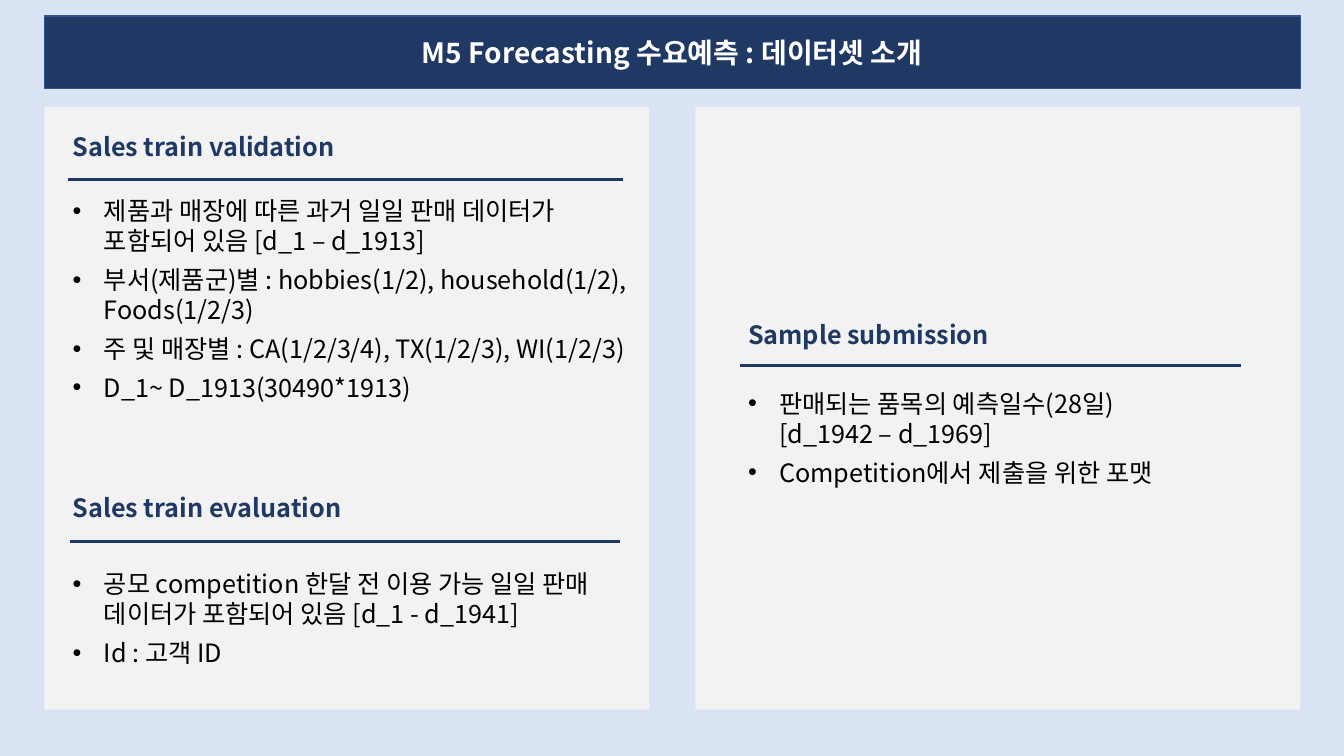
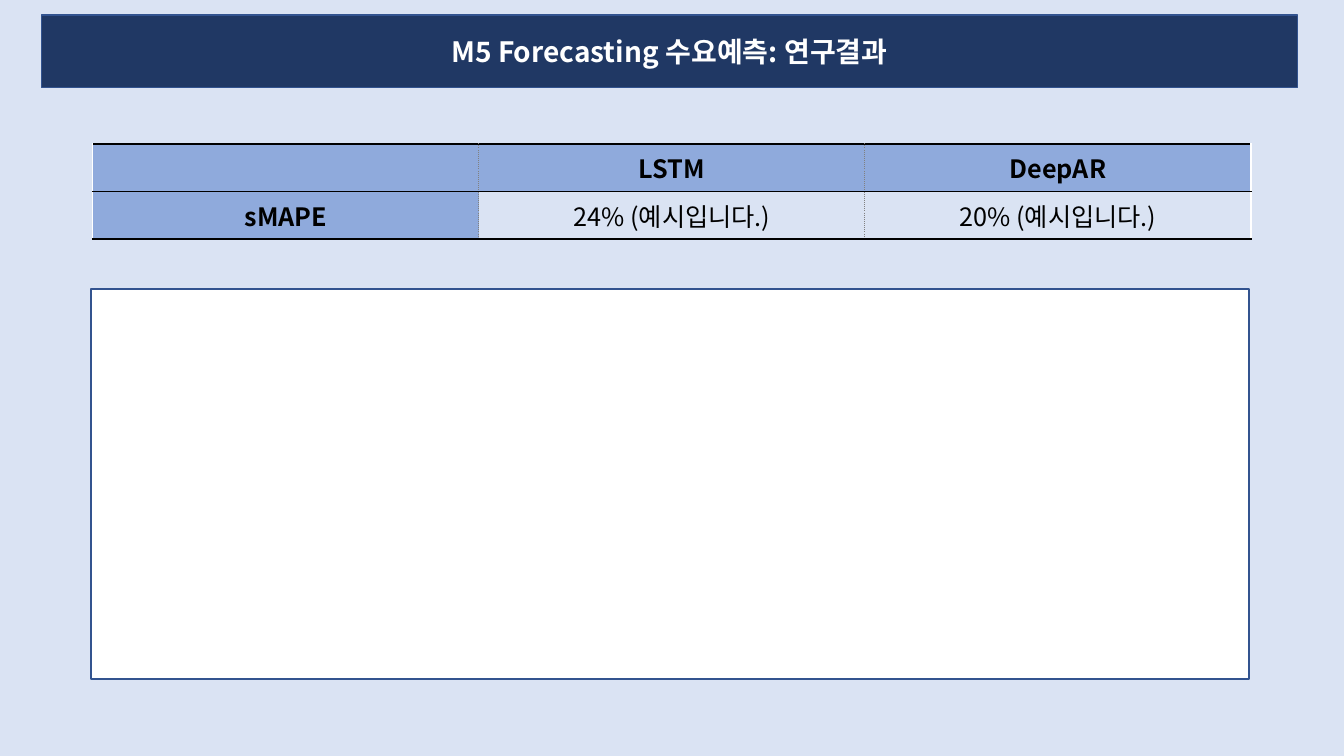
from dataclasses import dataclass

import pptx
import pptx.dml.color
import pptx.enum.shapes
import pptx.enum.text
import pptx.oxml
import pptx.oxml.ns
import pptx.util

SLIDE_WIDTH = pptx.util.Inches(13.33)
SLIDE_HEIGHT = pptx.util.Inches(7.5)
FONT = "Noto Sans CJK KR"
COLORS = {
    "background": "DAE3F3",
    "navy": "203864",
    "outline": "32538F",
    "panel": "F2F2F2",
    "header": "8FAADC",
    "divider": "808080",
    "black": "000000",
    "white": "FFFFFF",
}
INSET = pptx.util.Inches(0.05)
MIDDLE = pptx.enum.text.MSO_ANCHOR.MIDDLE
CENTER = pptx.enum.text.PP_ALIGN.CENTER
TEXT_FRAME_FORMAT = {
    "word_wrap": True,
    "auto_size": pptx.enum.text.MSO_AUTO_SIZE.NONE,
    "margin_left": INSET,
    "margin_top": INSET,
    "margin_right": INSET,
    "margin_bottom": INSET,
}
CELL_FORMAT = {
    "vertical_anchor": MIDDLE,
    "margin_left": 0,
    "margin_top": 0,
    "margin_right": 0,
    "margin_bottom": 0,
}
HEADING_FORMAT = {"size": pptx.util.Pt(18), "bold": True}
BODY_FORMAT = {"size": pptx.util.Pt(18), "bold": False}
TITLE_FORMAT = {"size": pptx.util.Pt(20), "bold": True}


@dataclass(frozen=True)
class Area:
    """Percentages of the slide's width and height."""

    left: float
    top: float
    width: float
    height: float

    def box(self) -> tuple[int, int, int, int]:
        return (across(self.left), down(self.top), across(self.width), down(self.height))


@dataclass(frozen=True)
class Section:
    heading: str
    text_left: float
    text_width: float
    heading_top: float
    rule_left: float
    rule_right: float
    rule_top: float
    bullets_top: float
    bullets_height: float
    bullets: tuple[tuple[str, ...], ...]


PANELS = (Area(3.3, 14.13, 45, 79.73), Area(51.75, 14.13, 45, 79.73))
SECTIONS = (
    Section(
        "Sales train validation", 5.03, 42.08, 16.67, 5.03, 46.35, 23.73, 25.2, 33,
        (
            ("제품과 매장에 따른 과거 일일 판매 데이터가 포함되어 있음 [d_1 – d_1913]",),
            ("부서(제품군)별 : hobbies(1/2), household(1/2), Foods(1/2/3)",),
            ("주 및 매장별 : CA(1/2/3/4), TX(1/2/3), WI(1/2/3)",),
            ("D_1~ D_1913(30490*1913)",),
        ),
    ),
    Section(
        "Sales train evaluation", 5.03, 42.08, 64.4, 5.18, 46.13, 71.6, 74.53, 16,
        (
            ("공모 competition 한달 전 이용 가능 일일 판매 데이터가 포함되어 있음 [d_1 - d_1941]",),
            ("Id : 고객 ID",),
        ),
    ),
    Section(
        "Sample submission", 55.28, 39.68, 41.6, 55.05, 92.33, 48.4, 50.67, 16,
        (
            ("판매되는 품목의 예측일수(28일) ", "[d_1942 – d_1969]"),
            ("Competition에서 제출을 위한 포맷",),
        ),
    ),
)
RESULTS = (
    ("", "LSTM", "DeepAR"),
    ("sMAPE", "24% (예시입니다.)", "20% (예시입니다.)"),
)
RESULTS_AREA = Area(6.9, 19.07, 86.18, 12.53)
CHART_FRAME = Area(6.75, 38.27, 86.18, 51.6)


def across(percent: float) -> int:
    return round(SLIDE_WIDTH * percent / 100)


def down(percent: float) -> int:
    return round(SLIDE_HEIGHT * percent / 100)


def rgb(color: str) -> pptx.dml.color.RGBColor:
    return pptx.dml.color.RGBColor.from_string(COLORS[color])


def apply_format(target, values: dict) -> None:
    for attribute, value in values.items():
        setattr(target, attribute, value)


def paint(target, color: str) -> None:
    target.fill.solid()
    target.fill.fore_color.rgb = rgb(color)


def write(paragraph, lines: tuple[str, ...], font_format: dict, color: str) -> None:
    for index, line in enumerate(lines):
        if index:
            paragraph.add_line_break()
        run = paragraph.add_run()
        run.text = line
        apply_format(run.font, {"name": FONT, **font_format})
        run.font.color.rgb = rgb(color)
        east_asian = pptx.oxml.ns.qn("a:ea")
        run.font._element.makeelement(east_asian)
        latin = run.font._element.find(pptx.oxml.ns.qn("a:latin"))
        latin.addnext(latin.makeelement(east_asian, {"typeface": FONT}))


def add_bullet(paragraph) -> None:
    properties = paragraph._p.get_or_add_pPr()
    indent = pptx.util.Inches(0.31)
    properties.set("marL", str(indent))
    properties.set("indent", str(-indent))
    for tag, attribute, value in (("a:buFont", "typeface", "Arial"), ("a:buChar", "char", "•")):
        properties.append(properties.makeelement(pptx.oxml.ns.qn(tag), {attribute: value}))


def add_text_frame(slide, area: Area):
    frame = slide.shapes.add_textbox(*area.box()).text_frame
    apply_format(frame, TEXT_FRAME_FORMAT)
    return frame


def add_rectangle(slide, area: Area, fill: str, line_width: float = 0) -> None:
    rectangle = slide.shapes.add_shape(
        pptx.enum.shapes.MSO_SHAPE.RECTANGLE, *area.box()
    )
    rectangle.shadow.inherit = False
    paint(rectangle, fill)
    if line_width:
        rectangle.line.color.rgb = rgb("outline")
        rectangle.line.width = pptx.util.Pt(line_width)
    else:
        rectangle.line.fill.background()


def add_titled_slide(deck, title: str, left: float, top: float):
    slide = deck.slides.add_slide(deck.slide_layouts[5])
    band = slide.shapes.title
    box = Area(left, top, 93.45, 9.6).box()
    apply_format(band, dict(zip(("left", "top", "width", "height"), box)))
    paint(band, "navy")
    band.line.color.rgb = rgb("outline")
    band.line.width = pptx.util.Pt(1)
    apply_format(band.text_frame, {**TEXT_FRAME_FORMAT, "vertical_anchor": MIDDLE})
    heading = band.text_frame.paragraphs[0]
    heading.alignment = CENTER
    write(heading, (title,), TITLE_FORMAT, "white")
    return slide


def add_section(slide, section: Section) -> None:
    heading = add_text_frame(
        slide, Area(section.text_left, section.heading_top, section.text_width, 6)
    )
    write(heading.paragraphs[0], (section.heading,), HEADING_FORMAT, "navy")

    rule_y = down(section.rule_top)
    rule = slide.shapes.add_connector(
        pptx.enum.shapes.MSO_CONNECTOR.STRAIGHT,
        across(section.rule_left), rule_y, across(section.rule_right), rule_y,
    )
    rule.line.color.rgb = rgb("navy")
    rule.line.width = pptx.util.Pt(2)
    properties = rule._element.spPr
    properties.append(properties.makeelement(pptx.oxml.ns.qn("a:effectLst")))

    body = add_text_frame(
        slide,
        Area(section.text_left, section.bullets_top, section.text_width, section.bullets_height),
    )
    for index, lines in enumerate(section.bullets):
        paragraph = body.add_paragraph() if index else body.paragraphs[0]
        paragraph.space_after = pptx.util.Pt(6)
        add_bullet(paragraph)
        write(paragraph, lines, BODY_FORMAT, "black")


def add_border(cell, side: str, color: str, width: float, dash: str) -> None:
    border = pptx.oxml.parse_xml(
        f'<a:{side} {pptx.oxml.ns.nsdecls("a")} w="{pptx.util.Pt(width)}">'
        f'<a:solidFill><a:srgbClr val="{COLORS[color]}"/></a:solidFill>'
        f'<a:prstDash val="{dash}"/></a:{side}>'
    )
    cell._tc.get_or_add_tcPr().append(border)


def add_results(slide) -> None:
    column_count = len(RESULTS[0])
    table = slide.shapes.add_table(len(RESULTS), column_count, *RESULTS_AREA.box()).table
    apply_format(table, {"first_row": False, "horz_banding": False})
    for row_index, values in enumerate(RESULTS):
        for column_index, value in enumerate(values):
            cell = table.cell(row_index, column_index)
            apply_format(cell, CELL_FORMAT)
            if column_index:
                add_border(cell, "lnL", "divider", 0.75, "sysDot")
            if column_index < column_count - 1:
                add_border(cell, "lnR", "divider", 0.75, "sysDot")
            for side in ("lnT", "lnB"):
                add_border(cell, side, "black", 1.5, "solid")
            is_header = row_index == 0 or column_index == 0
            paint(cell, "header" if is_header else "background")
            if value:
                paragraph = cell.text_frame.paragraphs[0]
                paragraph.alignment = CENTER
                write(paragraph, (value,), HEADING_FORMAT if is_header else BODY_FORMAT, "black")


def main() -> None:
    deck = pptx.Presentation()
    apply_format(deck, {"slide_width": SLIDE_WIDTH, "slide_height": SLIDE_HEIGHT})
    paint(deck.slide_master.background, "background")

    datasets = add_titled_slide(deck, "M5 Forecasting 수요예측 : 데이터셋 소개", 3.3, 2.13)
    for panel in PANELS:
        add_rectangle(datasets, panel, "panel")
    for section in SECTIONS:
        add_section(datasets, section)

    findings = add_titled_slide(deck, "M5 Forecasting 수요예측: 연구결과", 3.08, 2)
    add_results(findings)
    add_rectangle(findings, CHART_FRAME, "white", 1.5)

    deck.save("out.pptx")


if __name__ == "__main__":
    main()
